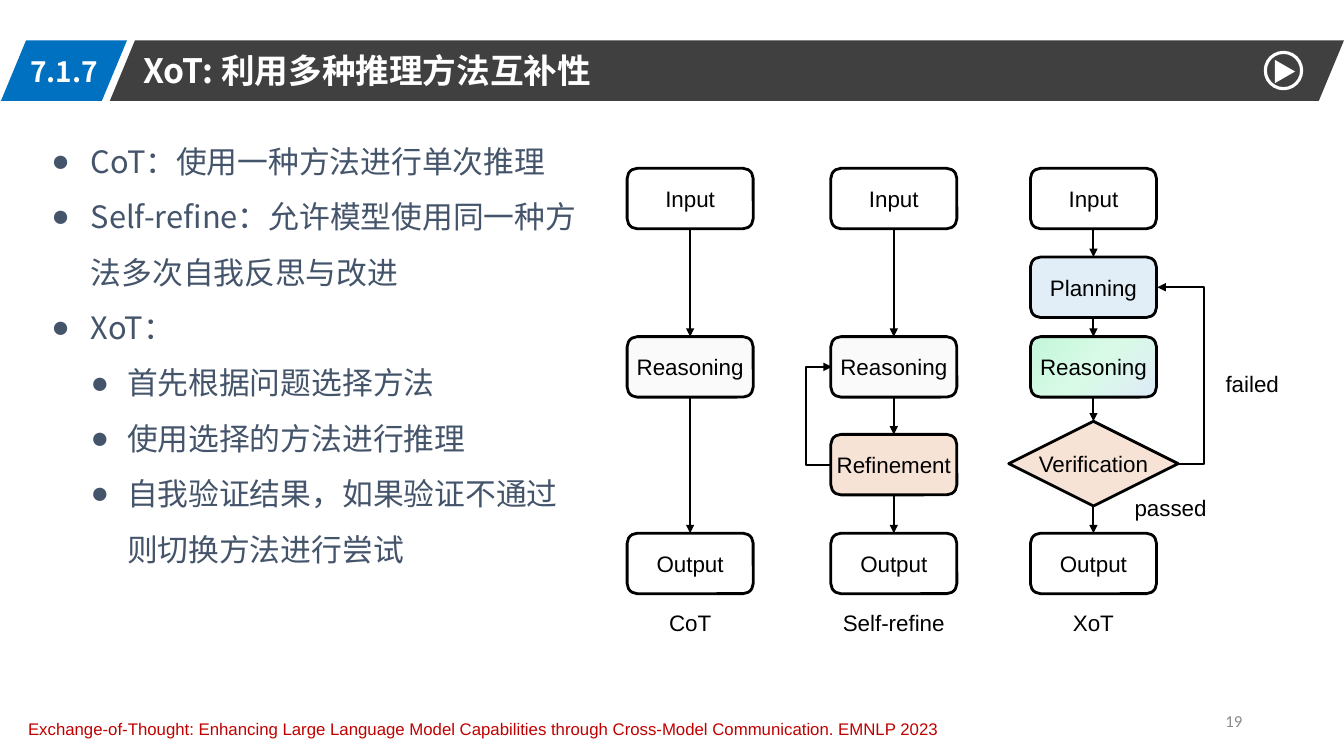
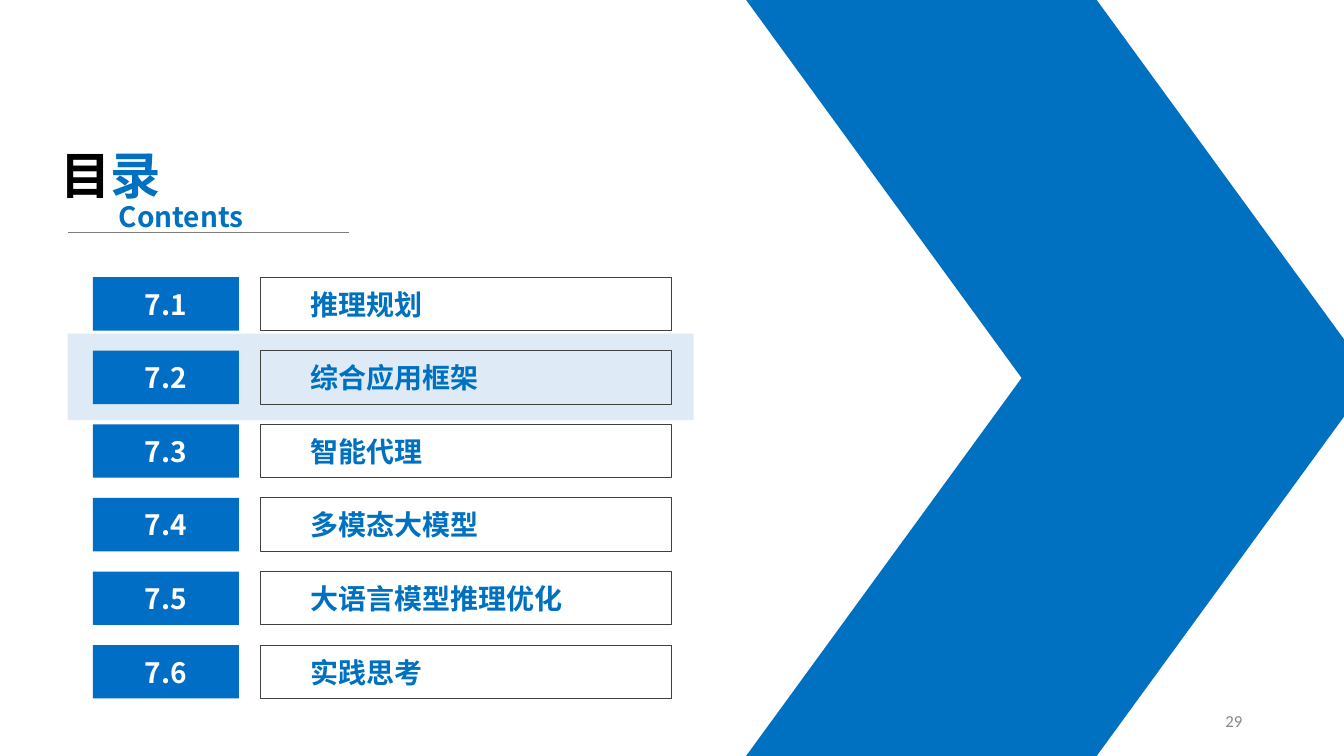
from lxml import etree
from pptx import Presentation
from pptx.dml.color import RGBColor
from pptx.enum.shapes import MSO_CONNECTOR, MSO_SHAPE
from pptx.enum.text import MSO_ANCHOR, MSO_AUTO_SIZE, PP_ALIGN
from pptx.oxml import parse_xml
from pptx.oxml.ns import nsdecls, qn
from pptx.util import Inches, Pt

BLUE = RGBColor(0x00, 0x70, 0xC0)
CHIP = RGBColor(0x00, 0x6E, 0xC5)
PALE = RGBColor(0xDE, 0xEB, 0xF7)
DARK = RGBColor(0x40, 0x40, 0x40)
SLATE = RGBColor(0x44, 0x54, 0x6A)
GRAY = RGBColor(0x89, 0x89, 0x89)
RULE = RGBColor(0x7F, 0x7F, 0x7F)
RED = RGBColor(0xC0, 0x00, 0x00)
BLACK = RGBColor(0x00, 0x00, 0x00)
WHITE = RGBColor(0xFF, 0xFF, 0xFF)
SNOW = RGBColor(0xFA, 0xFA, 0xFA)
PEACH = RGBColor(0xF7, 0xE3, 0xD5)
SKY = RGBColor(0xE2, 0xEE, 0xF7)
MINT = RGBColor(0xC3, 0xF7, 0xDA)
FROST = RGBColor(0xD9, 0xFA, 0xE7)

SANS, ARIAL, PLAIN = "Noto Sans CJK SC", "Arial", "Calibri"
LEFT, MID, RIGHT = PP_ALIGN.LEFT, PP_ALIGN.CENTER, PP_ALIGN.RIGHT
TOP, CENTER = MSO_ANCHOR.TOP, MSO_ANCHOR.MIDDLE
FIXED = MSO_AUTO_SIZE.NONE
RECT, ROUND = MSO_SHAPE.RECTANGLE, MSO_SHAPE.ROUNDED_RECTANGLE
SLANT, DIAMOND = MSO_SHAPE.PARALLELOGRAM, MSO_SHAPE.DIAMOND
OVAL, WEDGE = MSO_SHAPE.OVAL, MSO_SHAPE.ISOSCELES_TRIANGLE
CHEVRON = MSO_SHAPE.CHEVRON
STRAIGHT, ELBOW = MSO_CONNECTOR.STRAIGHT, MSO_CONNECTOR.ELBOW

NODE_W, NODE_H = 1.25, 0.6


# Text
def put(par, text, size=20, color=BLACK, face=SANS, bold=False):
    run = par.add_run()
    run.text = text
    font = run.font
    font.size, font.bold, font.name = Pt(size), bold, face
    font.color.rgb = color
    props = run._r.get_or_add_rPr()
    etree.SubElement(props, qn("a:ea"), typeface=face)


def frame(shape, anchor=TOP, wrap=True, inset=0.1):
    area = shape.text_frame
    area.auto_size = FIXED
    area.word_wrap = wrap
    area.vertical_anchor = anchor
    area.margin_left, area.margin_right = Inches(inset), Inches(0.1)
    area.margin_top = area.margin_bottom = Inches(0.05)
    return area


def write(shape, text, align=LEFT, anchor=TOP, wrap=True, inset=0.1, **style):
    par = frame(shape, anchor, wrap, inset).paragraphs[0]
    par.alignment = align
    put(par, text, **style)
    return par


def label(slide, box, text, **style):
    area = slide.shapes.add_textbox(*map(Inches, box))
    return write(area, text, **style)


def move(shape, box):
    shape.left, shape.top, shape.width, shape.height = map(Inches, box)


# Shapes and lines
def draw(slide, kind, box, fill=None, line=None, width=1, adjust=None):
    shape = slide.shapes.add_shape(kind, *map(Inches, box))
    shape.shadow.inherit = False
    if fill is None:
        shape.fill.background()
    else:
        shape.fill.solid()
        shape.fill.fore_color.rgb = fill
    if line is None:
        shape.line.fill.background()
    else:
        shape.line.color.rgb = line
        shape.line.width = Pt(width)
    if adjust is not None:
        shape.adjustments[0] = adjust
    return shape


def shade(shape, colors):
    last = len(colors) - 1
    stops = "".join(
        f'<a:gs pos="{100000 * i // last}"><a:srgbClr val="{c}"/></a:gs>'
        for i, c in enumerate(colors))
    grad = parse_xml(
        f'<a:gradFill {nsdecls("a")} rotWithShape="1"><a:gsLst>{stops}</a:gsLst>'
        '<a:path path="circle"><a:fillToRect r="100000" b="100000"/></a:path>'
        '</a:gradFill>')
    props = shape._element.spPr
    props.replace(props.find(qn("a:solidFill")), grad)


def link(slide, kind, start, end, color=BLACK, width=1.5, arrow=True):
    wire = slide.shapes.add_connector(kind, *map(Inches, (*start, *end)))
    wire.line.color.rgb = color
    wire.line.width = Pt(width)
    props = wire._element.spPr
    if arrow:
        etree.SubElement(props.find(qn("a:ln")), qn("a:tailEnd"), type="triangle")
    etree.SubElement(props, qn("a:effectLst"))
    return wire


def loop(slide, start, end, bend):
    """Elbow arrow whose upright part stands at x = bend."""
    wire = link(slide, ELBOW, start, end)
    ratio = round(100000 * (bend - start[0]) / (end[0] - start[0]))
    geom = wire._element.spPr.find(qn("a:prstGeom"))
    guides = geom.find(qn("a:avLst"))
    if guides is None:
        guides = etree.SubElement(geom, qn("a:avLst"))
    etree.SubElement(guides, qn("a:gd"), name="adj1", fmla=f"val {ratio}")


# Shared page number
def page(slide, number):
    label(slide, (9.42, 6.95, 3, 0.4), number, size=12, color=GRAY,
          face=PLAIN, align=RIGHT, anchor=CENTER)


# Title band with section number and play button
def header(slide, box, number, text):
    x, y, w, h = box
    draw(slide, SLANT, (x + 1.08, y, w - 1.08, h), DARK, adjust=0.415)
    draw(slide, SLANT, (x, y, 1.25, h), BLUE, adjust=0.415)
    label(slide, (x + 0.17, y + 0.09, 0.91, 0.44), number,
          color=WHITE, bold=True, align=MID)
    title = slide.shapes.title
    move(title, (x + 1.31, y + 0.04, w - 2.32, h - 0.04))
    write(title, text, size=24, color=WHITE, bold=True)
    slide.shapes._spTree.append(title._element)
    draw(slide, OVAL, (x + w - 0.78, y + 0.12, 0.36, 0.36), line=WHITE, width=2.25)
    play = draw(slide, WEDGE, (x + w - 0.7, y + 0.21, 0.23, 0.2), WHITE)
    play.rotation = 90


# Bulleted list
def points(slide, box, items):
    body = slide.placeholders[1]
    move(body, box)
    area = frame(body)
    for i, (level, text) in enumerate(items):
        par = area.add_paragraph() if i else area.paragraphs[0]
        par.level = level
        par.line_spacing = 1.5
        par.space_before = par.space_after = Pt(0)
        left, hang = ((0.39, 0.39), (0.75, 0.36))[level]
        props = par._p.get_or_add_pPr()
        props.set("marL", str(Inches(left)))
        props.set("indent", str(-Inches(hang)))
        tint = etree.SubElement(props, qn("a:buClr"))
        etree.SubElement(tint, qn("a:srgbClr"), val=str(SLATE))
        etree.SubElement(props, qn("a:buFont"), typeface=ARIAL)
        etree.SubElement(props, qn("a:buChar"), char="●")
        put(par, text, size=22, color=SLATE)


# Flow chart column
def note(slide, mid, top, text):
    label(slide, (mid - 0.72, top, 1.44, 0.42), text, size=16, face=ARIAL,
          align=MID, anchor=CENTER)


def flow(slide, left, top, name, steps):
    mid = left + NODE_W / 2
    last = None
    for text, drop, fill in steps:
        test = text == "Verification"
        kind, w, h = (DIAMOND, 1.68, 0.84) if test else (ROUND, NODE_W, NODE_H)
        blend = isinstance(fill, list)
        node = draw(slide, kind, (mid - w / 2, top + drop, w, h),
                    fill[0] if blend else fill, BLACK, 2)
        if blend:
            shade(node, fill)
        write(node, text, size=16, face=ARIAL, align=MID, anchor=CENTER, wrap=False)
        if last is not None:
            wire = link(slide, STRAIGHT, (mid, top), (mid, top + drop))
            wire.begin_connect(last, 2)
            wire.end_connect(node, 0)
        last = node
    note(slide, mid, top + 4.3, name)


def charts(slide, x, y):
    first, end = ("Input", 0, None), ("Output", 3.62, None)
    think = ("Reasoning", 1.67, SNOW)
    flow(slide, x, y, "CoT", [first, think, end])
    flow(slide, x + 2.02, y, "Self-refine",
         [first, think, ("Refinement", 2.64, PEACH), end])
    flow(slide, x + 4, y, "XoT",
         [first, ("Planning", 0.88, SKY), ("Reasoning", 1.67, [MINT, FROST, PALE]),
          ("Verification", 2.51, PEACH), end])
    # Ways back
    loop(slide, (x + 2.02, y + 2.94), (x + 2.03, y + 1.97), x + 1.77)
    loop(slide, (x + 5.47, y + 2.93), (x + 5.26, y + 1.18), x + 5.72)
    note(slide, x + 6.2, y + 1.92, "failed")
    note(slide, x + 5.39, y + 3.16, "passed")


# Contents heading and rows
def heading(slide, x, y):
    title = slide.shapes.title
    move(title, (x, y, 1.57, 0.71))
    par = write(title, "目", size=36, bold=True)
    put(par, "录", size=36, color=BLUE, bold=True)
    link(slide, STRAIGHT, (x + 0.17, y + 0.93), (x + 2.96, y + 0.93),
         color=RULE, width=0.5, arrow=False)
    label(slide, (x + 0.58, y + 0.55, 1.57, 0.44), "Contents", color=BLUE, bold=True)


def topics(slide, x, y, items, current):
    pitch, high = 0.73, 0.53
    draw(slide, RECT, (x - 0.25, y + current * pitch - 0.17, 6.21, 0.86), PALE)
    for i, text in enumerate(items):
        top = y + i * pitch
        bar = draw(slide, RECT, (x + 1.66, top, 4.08, high), line=DARK, width=0.75)
        write(bar, text, color=BLUE, bold=True, anchor=CENTER, inset=0.5)
        chip = draw(slide, RECT, (x, top, 1.45, high), CHIP)
        write(chip, f"7.{i + 1}", color=WHITE, bold=True, align=MID, anchor=CENTER)


def method(deck):
    slide = deck.slides.add_slide(deck.slide_layouts[1])
    header(slide, (0.01, 0.4, 13.32, 0.6), "7.1.7", "XoT: 利用多种推理方法互补性")
    points(slide, (0.41, 1.18, 5.47, 5.71), [
        (0, "CoT：使用一种方法进行单次推理"),
        (0, "Self-refine：允许模型使用同一种方法多次自我反思与改进"),
        (0, "XoT："),
        (1, "首先根据问题选择方法"),
        (1, "使用选择的方法进行推理"),
        (1, "自我验证结果，如果验证不通过则切换方法进行尝试"),
    ])
    charts(slide, 6.22, 1.67)
    label(slide, (0.18, 7.08, 11.41, 0.3),
          "Exchange-of-Thought: Enhancing Large Language Model Capabilities "
          "through Cross-Model Communication. EMNLP 2023",
          size=12, color=RED, face=ARIAL)
    page(slide, "19")


def contents(deck):
    slide = deck.slides.add_slide(deck.slide_layouts[5])
    draw(slide, CHEVRON, (7.4, 0, 6.21, 7.5), BLUE, adjust=0.44)
    heading(slide, 0.5, 1.38)
    topics(slide, 0.92, 2.75, ["推理规划", "综合应用框架", "智能代理", "多模态大模型",
                               "大语言模型推理优化", "实践思考"], current=1)
    page(slide, "29")


def main():
    deck = Presentation()
    deck.slide_width, deck.slide_height = Inches(13.33), Inches(7.5)
    method(deck)
    contents(deck)
    deck.save("out.pptx")


if __name__ == "__main__":
    main()
